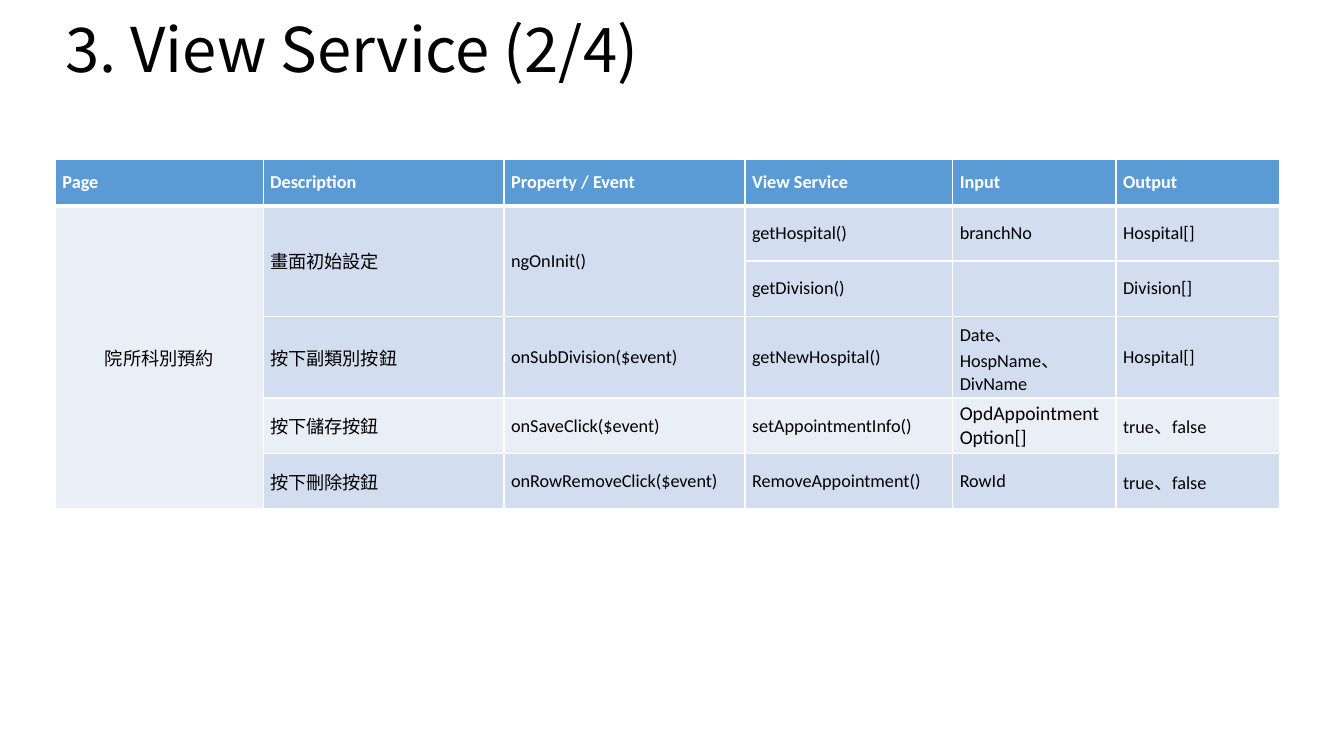
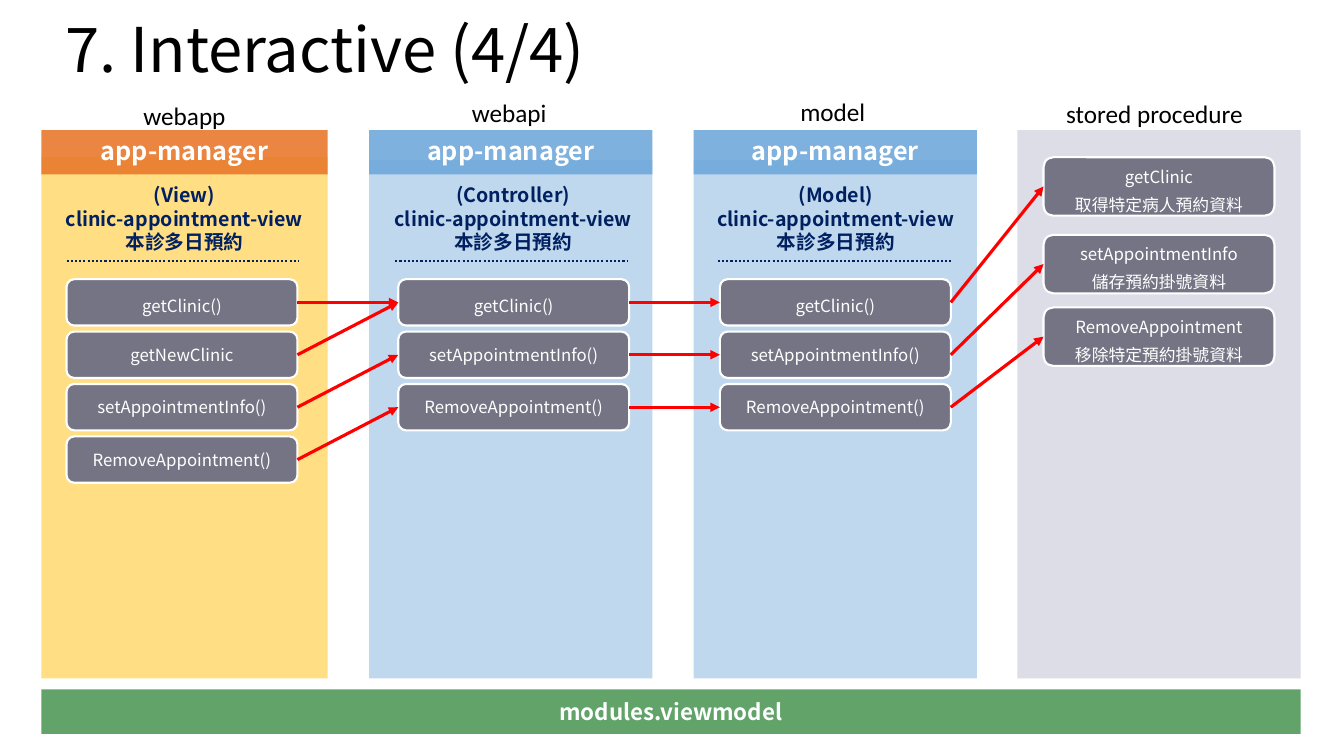
"""Build the view service table slide and the interaction diagram slide."""
from dataclasses import dataclass

from lxml.etree import SubElement
from pptx import Presentation
from pptx.dml.color import RGBColor
from pptx.enum.dml import MSO_LINE
from pptx.enum.shapes import MSO_CONNECTOR, MSO_SHAPE
from pptx.enum.text import MSO_ANCHOR, PP_ALIGN
from pptx.oxml.ns import qn
from pptx.util import Inches, Pt

BLACK = RGBColor(0x00, 0x00, 0x00)
WHITE = RGBColor(0xFF, 0xFF, 0xFF)
NAVY = RGBColor(0x00, 0x20, 0x60)
RED = RGBColor(0xFF, 0x00, 0x00)
GREEN = RGBColor(0x61, 0xA3, 0x69)
SLATE = RGBColor(0x75, 0x74, 0x84)
LAVENDER = RGBColor(0xD8, 0xD9, 0xE4)
YELLOW = RGBColor(0xFF, 0xDB, 0x75)
ORANGE = RGBColor(0xE9, 0x78, 0x2B)
PALE_BLUE = RGBColor(0xB9, 0xD4, 0xED)
MID_BLUE = RGBColor(0x6F, 0xA8, 0xDB)
HEADER_BLUE = RGBColor(0x5B, 0x9B, 0xD5)
ROW_DARK = RGBColor(0xD2, 0xDE, 0xEF)
ROW_LIGHT = RGBColor(0xEA, 0xEF, 0xF7)

BODY_FONT = "Calibri"
DISPLAY_FONT = "Noto Sans CJK SC"

COLUMN_WIDTHS = [2.06, 2.39, 2.39, 2.06, 1.62, 1.62]
ROW_HEIGHTS = [0.46, 0.55, 0.55, 0.81, 0.55, 0.55]
TABLE_ROWS = [
    ["Page", "Description", "Property / Event", "View Service", "Input", "Output"],
    ["院所科別預約", "畫面初始設定", "ngOnInit()", "getHospital()", "branchNo", "Hospital[]"],
    ["", "", "", "getDivision()", "", "Division[]"],
    ["", "按下副類別按鈕", "onSubDivision($event)", "getNewHospital()",
     "Date、HospName、DivName", "Hospital[]"],
    ["", "按下儲存按鈕", "onSaveClick($event)", "setAppointmentInfo()",
     "OpdAppointmentOption[]", "true、false"],
    ["", "按下刪除按鈕", "onRowRemoveClick($event)", "RemoveAppointment()", "RowId",
     "true、false"],
]
MERGES = [((1, 0), (5, 0)), ((1, 1), (2, 1)), ((1, 2), (2, 2))]
LIGHT_ROW = 4
LARGE_CELL = (4, 4)

BAND_TOP = 1.29
BAND_HEIGHT = 0.44
PANEL_BOTTOM = 6.73
PANEL_WIDTH = 2.81
LABEL_WIDTH = 2.84
RULE_INSET = 0.25
RULE_WIDTH = 2.31
BUTTON_WIDTH = 2.29
BUTTON_HEIGHT = 0.46
BUTTON_TOP = 2.77
BUTTON_PITCH = 0.52
PROCEDURE_LEFT = 10.35
PROCEDURE_HEIGHT = 0.58


@dataclass
class Layer:
    """Describe one application column of the diagram."""
    role: str
    left: float
    top: float
    width: float
    label_left: float
    button_left: float
    panel_color: RGBColor
    band_color: RGBColor
    methods: list


SHARED_METHODS = ["getClinic()", "setAppointmentInfo()", "RemoveAppointment()"]
LAYERS = [
    Layer("(View)", 0.41, 1.56, 2.84, 0.41, 0.66, YELLOW, ORANGE,
          ["getClinic()", "getNewClinic", "setAppointmentInfo()", "RemoveAppointment()"]),
    Layer("(Controller)", 3.66, 1.59, PANEL_WIDTH, 3.67, 3.95, PALE_BLUE, MID_BLUE,
          SHARED_METHODS),
    Layer("(Model)", 6.88, 1.59, PANEL_WIDTH, 6.87, 7.14, PALE_BLUE, MID_BLUE,
          SHARED_METHODS),
]
CAPTIONS = [("webapp", 0.41, 0.95), ("webapi", 3.63, 0.92),
            ("model", 6.84, 0.91), ("stored procedure", 10.03, 0.93)]
PROCEDURES = [(1.56, ["getClinic", "取得特定病人預約資料"]),
              (2.33, ["setAppointmentInfo", "儲存預約掛號資料"]),
              (3.05, ["RemoveAppointment", "移除特定預約掛號資料"])]
ONE_TO_ONE = [(0, 0), (1, 1), (2, 2)]
CALLS = [[(0, 0), (1, 0), (2, 1), (3, 2)], ONE_TO_ONE, ONE_TO_ONE]


def write_text(frame, lines, size, color, font=DISPLAY_FONT, bold=False,
               align=PP_ALIGN.CENTER, spacing=None):
    """Fill a text frame with one paragraph per line."""
    frame.word_wrap = True
    for index, line in enumerate(lines):
        paragraph = frame.add_paragraph() if index else frame.paragraphs[0]
        paragraph.alignment = align
        paragraph.line_spacing = spacing
        run = paragraph.add_run()
        run.text = line
        run.font.size = Pt(size)
        run.font.bold = bold
        run.font.color.rgb = color
        run.font.name = font
        if font == DISPLAY_FONT:
            SubElement(run._r.get_or_add_rPr(), qn("a:ea"), typeface=font)


def add_label(slide, left, top, width, height, lines, size, color, **style):
    """Add a text box."""
    box = slide.shapes.add_textbox(Inches(left), Inches(top), Inches(width), Inches(height))
    write_text(box.text_frame, lines, size, color, **style)
    return box


def add_title(slide, text):
    """Add the slide title."""
    box = add_label(slide, 0.55, 0.13, 12.17, 0.78, [text], 44, BLACK,
                    align=PP_ALIGN.LEFT, spacing=0.9)
    box.text_frame.vertical_anchor = MSO_ANCHOR.MIDDLE


def add_block(slide, left, top, width, height, color, kind=MSO_SHAPE.RECTANGLE, opacity=None):
    """Add a filled shape without outline or shadow."""
    shape = slide.shapes.add_shape(kind, Inches(left), Inches(top), Inches(width), Inches(height))
    shape.shadow.inherit = False
    shape.fill.solid()
    shape.fill.fore_color.rgb = color
    shape.line.fill.background()
    shape.text_frame.vertical_anchor = MSO_ANCHOR.MIDDLE
    if opacity:
        color_element = shape._element.spPr.find(qn("a:solidFill")).find(qn("a:srgbClr"))
        SubElement(color_element, qn("a:alpha"), val=str(opacity * 1000))
    return shape


def add_button(slide, left, top, height, lines, spacing=None):
    """Add a rounded button with a white outline."""
    button = add_block(slide, left, top, BUTTON_WIDTH, height, SLATE, MSO_SHAPE.ROUNDED_RECTANGLE)
    button.line.color.rgb = WHITE
    button.line.width = Pt(1.5)
    frame = button.text_frame
    frame.margin_left = frame.margin_right = frame.margin_top = frame.margin_bottom = 0
    write_text(frame, lines, 12, WHITE, spacing=spacing)
    return button


def add_line(slide, left, top, right, bottom, color, width):
    """Add a straight connector without shadow."""
    line = slide.shapes.add_connector(MSO_CONNECTOR.STRAIGHT, Inches(left), Inches(top),
                                      Inches(right), Inches(bottom))
    line.line.color.rgb = color
    line.line.width = Pt(width)
    SubElement(line._element.spPr, qn("a:effectLst"))
    return line


def add_arrow(slide, source, target):
    """Join the right side of one button to the left side of another."""
    arrow = add_line(slide, 0, 0, 0, 0, RED, 2.25)
    arrow.begin_connect(source, 3)
    arrow.end_connect(target, 1)
    SubElement(arrow.line._get_or_add_ln(), qn("a:tailEnd"), type="triangle")


def add_layer(slide, layer):
    """Draw one application column and return its buttons."""
    add_block(slide, layer.left, layer.top, layer.width, PANEL_BOTTOM - layer.top,
              layer.panel_color, opacity=89)
    band = add_block(slide, layer.left, BAND_TOP, layer.width, BAND_HEIGHT,
                     layer.band_color, opacity=89)
    band.text_frame.margin_bottom = Inches(0.08)
    write_text(band.text_frame, ["app-manager"], 18, WHITE, bold=True)
    add_label(slide, layer.label_left, 1.76, LABEL_WIDTH, 0.81,
              [layer.role, "clinic-appointment-view", "本診多日預約"], 14, NAVY,
              bold=True, spacing=Pt(17))
    rule_left = layer.label_left + RULE_INSET
    rule = add_line(slide, rule_left, 2.59, rule_left + RULE_WIDTH, 2.59, NAVY, 1.5)
    rule.line.dash_style = MSO_LINE.ROUND_DOT
    return [add_button(slide, layer.button_left, BUTTON_TOP + index * BUTTON_PITCH,
                       BUTTON_HEIGHT, [method], None if index else Pt(20))
            for index, method in enumerate(layer.methods)]


def set_borders(cell, bottom_width, top_width):
    """Give a cell white borders."""
    properties = cell._tc.get_or_add_tcPr()
    for side, width in (("L", 1.06), ("R", 1.06), ("T", top_width), ("B", bottom_width)):
        border = SubElement(properties, qn(f"a:ln{side}"), w=str(Pt(width)))
        fill = SubElement(border, qn("a:solidFill"))
        SubElement(fill, qn("a:srgbClr"), val=str(WHITE))


def format_cell(cell, row, column, text):
    """Style one table cell and write its text."""
    header = row == 0
    set_borders(cell, 3.19 if header else 1.06, 3.19 if row == 1 else 1.06)
    light = row == LIGHT_ROW or column == 0
    cell.fill.solid()
    cell.fill.fore_color.rgb = HEADER_BLUE if header else ROW_LIGHT if light else ROW_DARK
    cell.vertical_anchor = MSO_ANCHOR.MIDDLE
    cell.margin_left = cell.margin_right = Inches(0.07)
    cell.margin_top = cell.margin_bottom = Inches(0.04)
    if text:
        centred = column == 0 and not header
        write_text(cell.text_frame, [text], 14 if (row, column) == LARGE_CELL else 13,
                   WHITE if header else BLACK, font=BODY_FONT, bold=header,
                   align=PP_ALIGN.CENTER if centred else PP_ALIGN.LEFT)


def add_service_table(slide):
    """Add the table of view services."""
    table = slide.shapes.add_table(len(TABLE_ROWS), len(COLUMN_WIDTHS), Inches(0.55), Inches(1.58),
                                   Inches(sum(COLUMN_WIDTHS)), Inches(sum(ROW_HEIGHTS))).table
    for column, width in zip(table.columns, COLUMN_WIDTHS):
        column.width = Inches(width)
    for row, height in zip(table.rows, ROW_HEIGHTS):
        row.height = Inches(height)
    for row_index, texts in enumerate(TABLE_ROWS):
        for column_index, text in enumerate(texts):
            format_cell(table.cell(row_index, column_index), row_index, column_index, text)
    for first, last in MERGES:
        table.cell(*first).merge(table.cell(*last))


def add_interaction_diagram(slide):
    """Add the columns, buttons and arrows of the diagram."""
    stages = [add_layer(slide, layer) for layer in LAYERS]
    add_block(slide, 10.09, BAND_TOP, PANEL_WIDTH, PANEL_BOTTOM - BAND_TOP, LAVENDER, opacity=89)
    stages.append([add_button(slide, PROCEDURE_LEFT, top, PROCEDURE_HEIGHT, lines, Pt(20))
                   for top, lines in PROCEDURES])
    for sources, targets, calls in zip(stages, stages[1:], CALLS):
        for source, target in calls:
            add_arrow(slide, sources[source], targets[target])
    for text, left, top in CAPTIONS:
        add_label(slide, left, top, LABEL_WIDTH, 0.4, [text], 18, BLACK, font=BODY_FONT)
    footer = add_block(slide, 0.41, 6.84, 12.49, BAND_HEIGHT, GREEN)
    write_text(footer.text_frame, ["modules.viewmodel"], 16, WHITE, bold=True)


def main():
    """Build and save the presentation."""
    presentation = Presentation()
    presentation.slide_width = Inches(13.33)
    presentation.slide_height = Inches(7.5)
    for title, add_content in (("3. View Service (2/4)", add_service_table),
                               ("7. Interactive (4/4)", add_interaction_diagram)):
        slide = presentation.slides.add_slide(presentation.slide_layouts[6])
        add_title(slide, title)
        add_content(slide)
    presentation.save("out.pptx")


if __name__ == "__main__":
    main()
